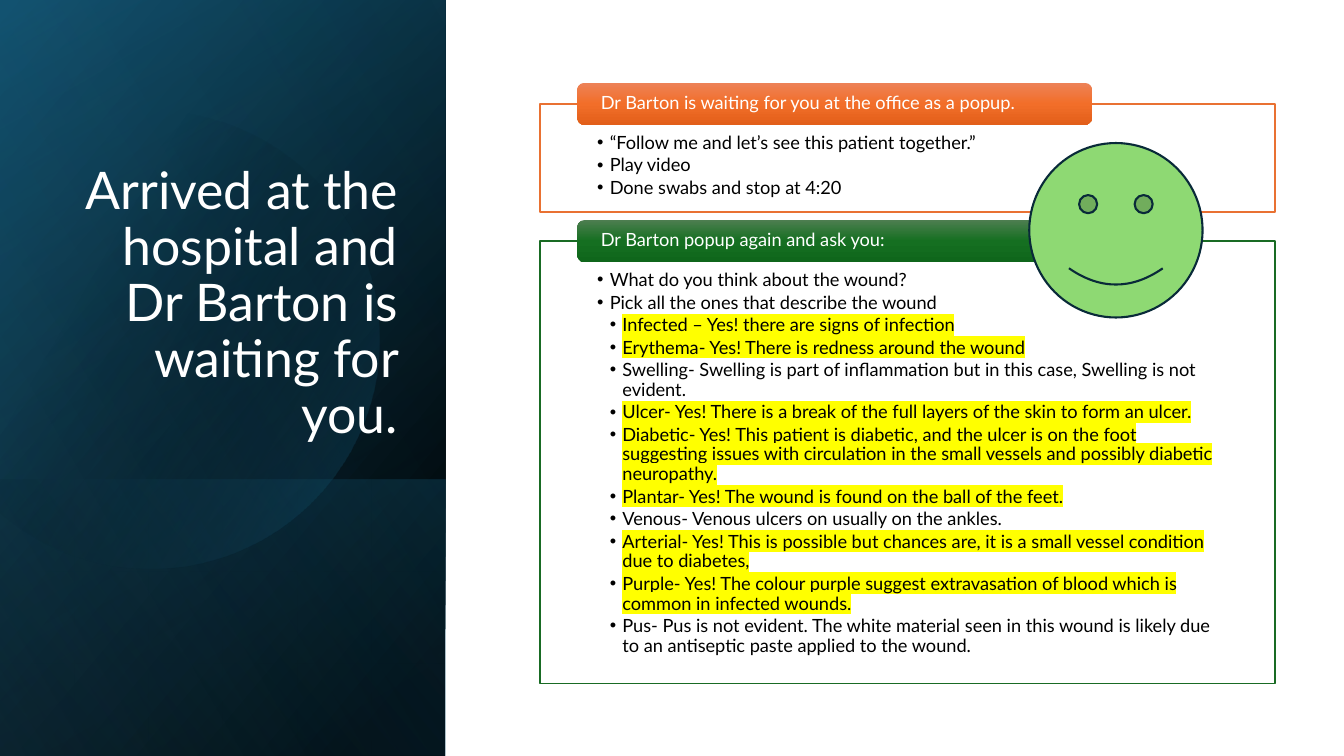
from dataclasses import dataclass
from math import cos, pi, sin, acos

from lxml import etree
from pptx import Presentation
from pptx.dml.color import RGBColor
from pptx.enum.shapes import MSO_SHAPE
from pptx.enum.text import MSO_ANCHOR, MSO_AUTO_SIZE, PP_ALIGN
from pptx.oxml import parse_xml
from pptx.oxml.ns import nsdecls, qn
from pptx.util import Pt

RECT, ROUNDED, SMILEY = MSO_SHAPE.RECTANGLE, MSO_SHAPE.ROUNDED_RECTANGLE, MSO_SHAPE.SMILEY_FACE
TOP, MIDDLE, BOTTOM = MSO_ANCHOR.TOP, MSO_ANCHOR.MIDDLE, MSO_ANCHOR.BOTTOM
LEFT, RIGHT = PP_ALIGN.LEFT, PP_ALIGN.RIGHT
NO_FIT = MSO_AUTO_SIZE.NONE


@dataclass(frozen=True)
class Theme:
    font: str = "Lato"
    title_size: float = 37
    text_size: float = 13
    white: str = "FFFFFF"
    black: str = "000000"
    navy: str = "104862"
    teal: str = "156082"
    sky: str = "46B1E1"
    orange: str = "E97132"
    orange_tab: tuple = ("ED8257", "F26E29", "E25F1A")
    green: str = "196B24"
    green_tab: tuple = ("4D7E50", "156F21", "0F661B")
    mark: str = "FFFF00"
    face: str = "8ED973"
    face_line: str = "092A39"


THEME = Theme()
PANEL_WIDTH, PAGE_WIDTH, PAGE_HEIGHT = 318.24, 960, 540

TITLE = "Arrived at the hospital and Dr Barton is waiting for you."
# Each list item: level, highlighted, text
OFFICE = [
    (1, False, "“Follow me and let’s see this patient together.”"),
    (1, False, "Play video"),
    (1, False, "Done swabs and stop at 4:20"),
]
QUESTIONS = [
    (1, False, "What do you think about the wound?"),
    (1, False, "Pick all the ones that describe the wound"),
    (2, True, "Infected – Yes! there are signs of infection"),
    (2, True, "Erythema- Yes! There is redness around the wound"),
    (2, False, "Swelling- Swelling is part of inflammation but in this case, Swelling is not evident."),
    (2, True, "Ulcer- Yes! There is a break of the full layers of the skin to form an ulcer."),
    (2, True, "Diabetic- Yes! This patient is diabetic, and the ulcer is on the foot suggesting "
              "issues with circulation in the small vessels and possibly diabetic neuropathy."),
    (2, True, "Plantar- Yes! The wound is found on the ball of the feet."),
    (2, False, "Venous- Venous ulcers on usually on the ankles."),
    (2, True, "Arterial- Yes! This is possible but chances are, it is a small vessel condition "
              "due to diabetes,"),
    (2, True, "Purple- Yes! The colour purple suggest extravasation of blood which is common "
              "in infected wounds."),
    (2, False, "Pus- Pus is not evident. The white material seen in this wound is likely due "
               "to an antiseptic paste applied to the wound."),
]


def set_all(target, values):
    for name, value in values.items():
        setattr(target, name, value)


def place(shape, left, top, width, height):
    set_all(shape, {"left": Pt(left), "top": Pt(top), "width": Pt(width), "height": Pt(height)})


def paint_gradient(shape, angle, stops):
    """Fill with stops of (position %, colour, opacity %)."""
    shape.fill.background()
    gradient = parse_xml(f'<a:gradFill {nsdecls("a")} rotWithShape="1"><a:gsLst/>'
                         f'<a:lin ang="{angle * 60000}" scaled="0"/></a:gradFill>')
    for position, colour, opacity in stops:
        stop = etree.SubElement(gradient[0], qn("a:gs"), pos=str(position * 1000))
        tint = etree.SubElement(stop, qn("a:srgbClr"), val=colour)
        if opacity < 100:
            etree.SubElement(tint, qn("a:alpha"), val=str(opacity * 1000))
    properties = shape._element.spPr
    properties.replace(properties.find(qn("a:noFill")), gradient)


def add_shape(page, kind, box, fill=None, line=None, weight=1):
    shape = page.shapes.add_shape(kind, *map(Pt, box))
    shape.shadow.inherit = False
    if fill:
        shape.fill.solid()
        shape.fill.fore_color.rgb = RGBColor.from_string(fill)
    if line:
        shape.line.color.rgb = RGBColor.from_string(line)
        shape.line.width = Pt(weight)
    else:
        shape.line.fill.background()
    return shape


def add_panel_layer(page, top, angle, stops):
    """Quarter-turned, mirrored layer from top down to the page's foot."""
    length = PAGE_HEIGHT - top
    box = ((PANEL_WIDTH - length) / 2, top + (length - PANEL_WIDTH) / 2, length, PANEL_WIDTH)
    layer = add_shape(page, RECT, box)
    layer.rotation = 90
    layer._element.spPr.xfrm.set("flipH", "1")
    paint_gradient(layer, angle, stops)


def add_glow(page, centre_x, centre_y, radius, angle, stops):
    """Disc cut off by the page's left edge."""
    reach, steps = acos(-centre_x / radius), 90
    turns = [-reach + 2 * reach * step / steps for step in range(steps + 1)]
    points = [(Pt(centre_x + radius * cos(turn)), Pt(centre_y + radius * sin(turn)))
              for turn in turns]
    builder = page.shapes.build_freeform(*points[0])
    builder.add_line_segments(points[1:], close=True)
    glow = builder.convert_to_shape()
    glow.shadow.inherit = False
    glow.line.fill.background()
    paint_gradient(glow, angle, stops)


def format_frame(frame, anchor, margins):
    left, top, right, bottom = map(Pt, margins)
    set_all(frame, {"word_wrap": True, "auto_size": NO_FIT, "vertical_anchor": anchor,
                    "margin_left": left, "margin_top": top,
                    "margin_right": right, "margin_bottom": bottom})


def write(para, text, colour, size=THEME.text_size, align=LEFT, after=0):
    set_all(para, {"alignment": align, "line_spacing": 0.9,
                   "space_before": Pt(0), "space_after": Pt(after)})
    span = para.add_run()
    span.text = text
    set_all(span.font, {"name": THEME.font, "size": Pt(size)})
    span.font.color.rgb = RGBColor.from_string(colour)
    return span


def highlight(span):
    mark = parse_xml(f'<a:highlight {nsdecls("a")}><a:srgbClr val="{THEME.mark}"/></a:highlight>')
    span._r.get_or_add_rPr().find(qn("a:latin")).addprevious(mark)


def fill_list(holder, items):
    frame = holder.text_frame
    format_frame(frame, TOP, (40.75, 21.25, 40.75, 7))
    for index, (level, marked, text) in enumerate(items):
        para = frame.paragraphs[0] if index == 0 else frame.add_paragraph()
        para.level = level
        properties = para._p.get_or_add_pPr()
        properties.set("marL", str(Pt(9 * level)))
        properties.set("indent", str(-Pt(9)))
        etree.SubElement(properties, qn("a:buFont"), typeface="Arial")
        etree.SubElement(properties, qn("a:buChar"), char="•")
        span = write(para, text, THEME.black, after=2)
        if marked:
            highlight(span)


def add_section(page, holder, top, height, heading, items, line, tab_colours):
    # Frame, list and heading tab
    box = (385.8, top, 525, height)
    frame = add_shape(page, RECT, box, THEME.white, line)
    tint = frame._element.spPr.find(qn("a:solidFill"))[0]
    etree.SubElement(tint, qn("a:alpha"), val="90000")
    place(holder, *box)
    page.shapes._spTree.append(holder._element)
    fill_list(holder, items)
    tab = add_shape(page, ROUNDED, (412.4, top - 15, 367.5, 30))
    paint_gradient(tab, 90, zip((0, 50, 100), tab_colours, (100, 100, 100)))
    format_frame(tab.text_frame, MIDDLE, (15.3, 0, 15.3, 0))
    write(tab.text_frame.paragraphs[0], heading, THEME.white)


def main():
    deck = Presentation()
    deck.slide_width, deck.slide_height = Pt(PAGE_WIDTH), Pt(PAGE_HEIGHT)
    page = deck.slides.add_slide(deck.slide_layouts[3])
    title, office_list, question_list = list(page.placeholders)[:3]

    # Dark side panel
    add_panel_layer(page, 0, 50, [(8, THEME.black, 100), (100, THEME.navy, 100)])
    add_panel_layer(page, 0, 30, [(0, THEME.black, 0), (99, THEME.teal, 46)])
    add_panel_layer(page, 342.7, 130, [(2, THEME.teal, 29), (100, THEME.black, 30)])
    add_glow(page, 107.5, 242.5, 163.5, 30, [(29, THEME.black, 0), (100, THEME.teal, 43)])
    add_panel_layer(page, 0, 120, [(0, THEME.black, 0), (99, THEME.sky, 11)])

    # Title
    page.shapes._spTree.append(title._element)
    place(title, 46, 132.5, 245.5, 188.6)
    format_frame(title.text_frame, BOTTOM, (7.2, 3.6, 7.2, 3.6))
    write(title.text_frame.paragraphs[0], TITLE, THEME.white, THEME.title_size, RIGHT)

    # Two popups
    add_section(page, office_list, 74.2, 77.2,
                "Dr Barton is waiting for you at the office as a popup.",
                OFFICE, THEME.orange, THEME.orange_tab)
    add_section(page, question_list, 172.2, 316, "Dr Barton popup again and ask you:",
                QUESTIONS, THEME.green, THEME.green_tab)

    # Smiley
    add_shape(page, SMILEY, (735.2, 102.2, 123.8, 124.6), THEME.face, THEME.face_line, 1.5)
    deck.save("out.pptx")


if __name__ == "__main__":
    main()
